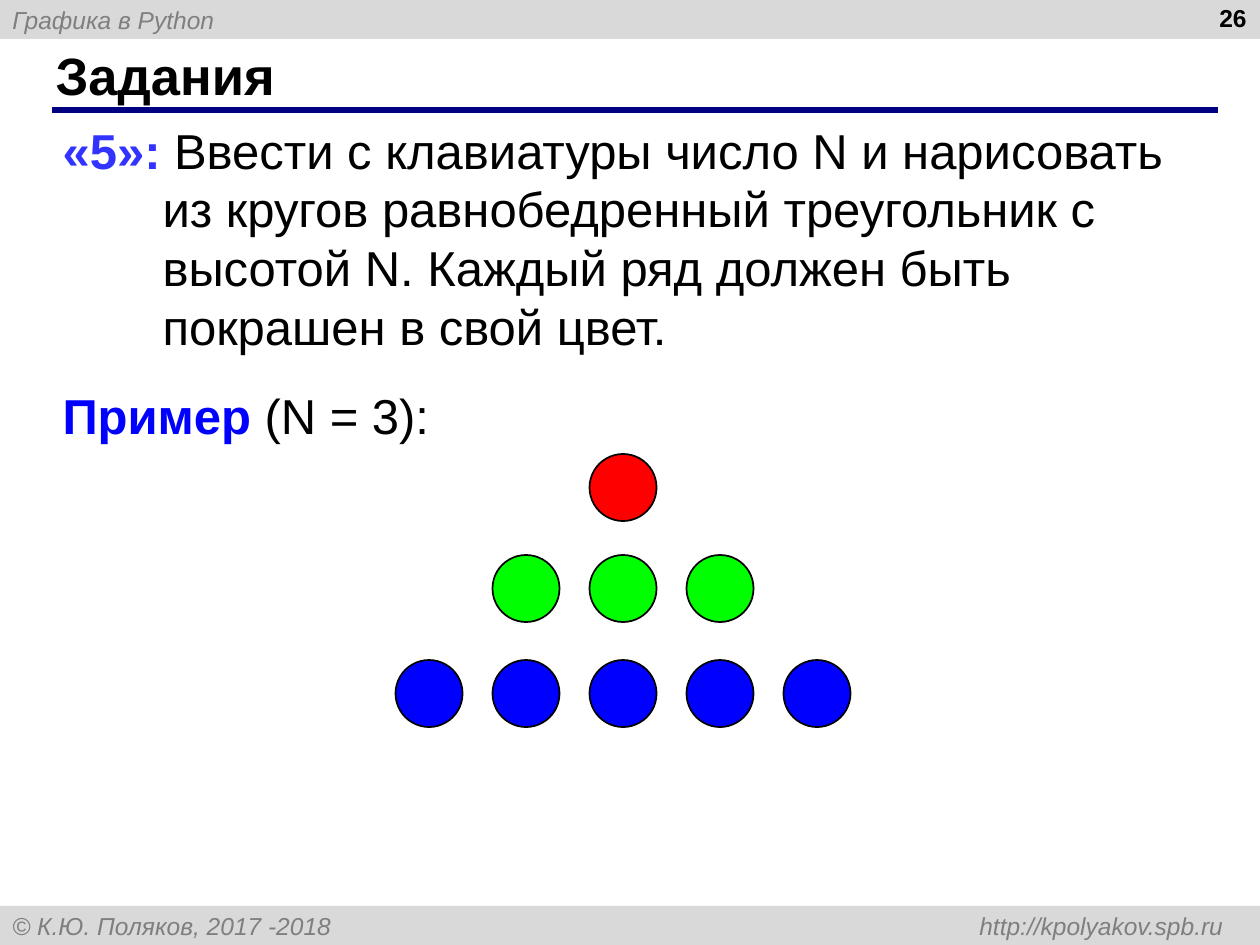
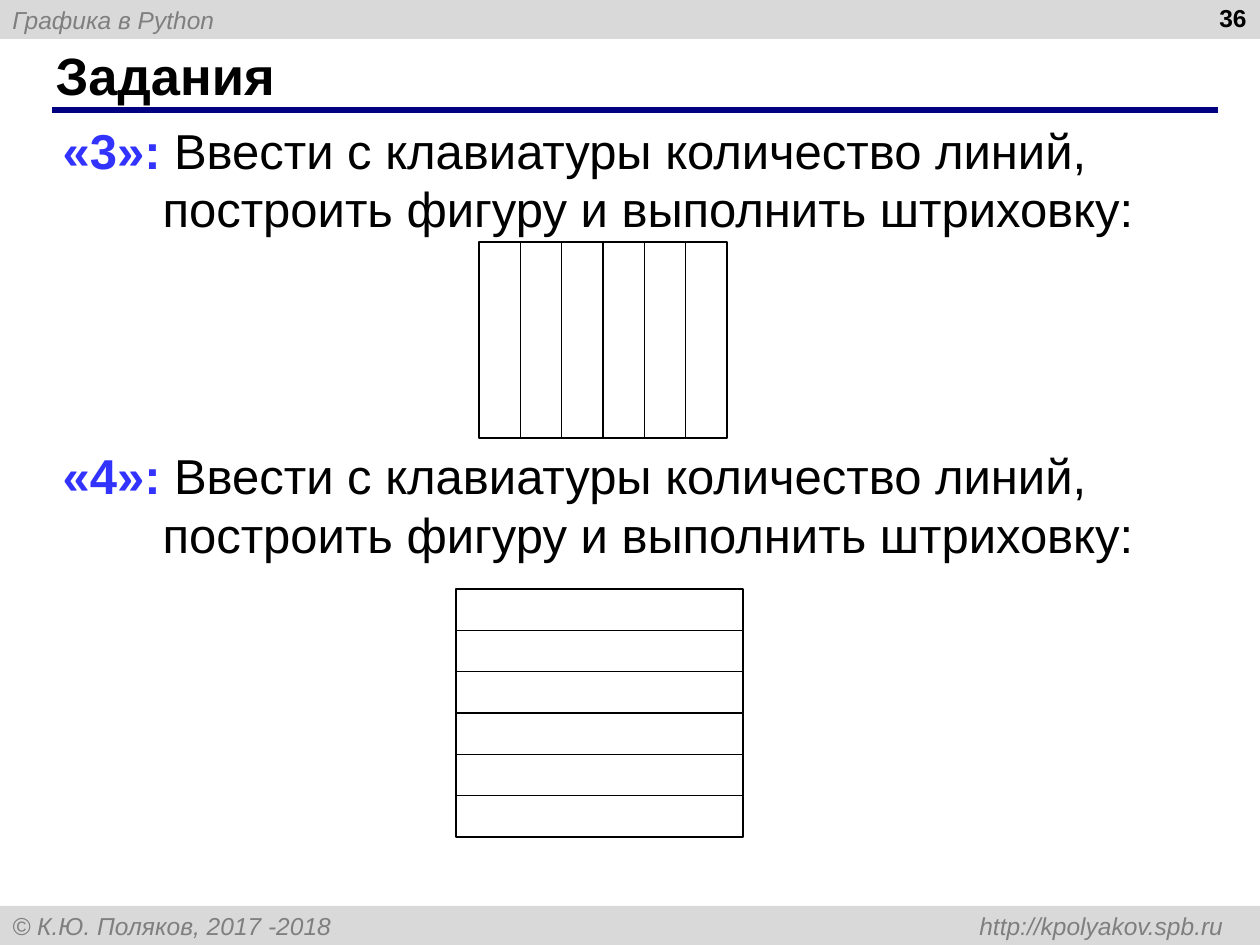
from dataclasses import dataclass

from lxml.etree import SubElement
from pptx import Presentation
from pptx.dml.color import RGBColor
from pptx.enum.shapes import MSO_CONNECTOR as Connector, MSO_SHAPE as Preset
from pptx.enum.text import MSO_ANCHOR as Anchor, MSO_AUTO_SIZE as AutoSize, PP_ALIGN as Align
from pptx.oxml.ns import qn
from pptx.util import Emu, Pt

SLIDE_WIDTH, SLIDE_HEIGHT = 1260, 945
BAND_HEIGHT = 39


@dataclass(frozen=True)
class Theme:
    font: str = "Arial"
    black: str = "000000"
    band: str = "D9D9D9"
    band_text: str = "7F7F7F"
    rule: str = "000080"
    grade: str = "3333FF"
    blue: str = "0000FF"
    red: str = "FF0000"
    green: str = "00FF00"
    title_size: int = 30
    body_size: int = 28
    small_size: int = 14
    body_leading: float = 33.5


THEME = Theme()


# Units and formatting
def px(length):
    return Emu(round(length * 914400 / 126))


def colour(code):
    return RGBColor.from_string(code)


def set_format(target, values):
    for name, value in values.items():
        setattr(target, name, value)


def place(shape, left, top, width, height):
    set_format(shape, {"left": px(left), "top": px(top),
                       "width": px(width), "height": px(height)})


def add_span(para, text, size, code=THEME.black, bold=False, italic=False):
    span = para.add_run()
    span.text = text
    set_format(span.font, {"name": THEME.font, "size": Pt(size),
                           "bold": bold, "italic": italic})
    span.font.color.rgb = colour(code)


# Basic elements
def add_preset(shapes, preset, area, fill=None, line=None, weight=1):
    shape = shapes.add_shape(preset, *map(px, area))
    shape.shadow.inherit = False
    if fill:
        shape.fill.solid()
        shape.fill.fore_color.rgb = colour(fill)
    else:
        shape.fill.background()
    if line:
        shape.line.color.rgb = colour(line)
        shape.line.width = Pt(weight)
    else:
        shape.line.fill.background()
    return shape


def add_line(shapes, start, end, code, weight):
    line = shapes.add_connector(Connector.STRAIGHT, *map(px, (*start, *end)))
    line.line.color.rgb = colour(code)
    line.line.width = Pt(weight)
    SubElement(line._element.spPr, qn("a:effectLst"))


# Parts shared by the slides
def add_band(page, top, text, right_tab=None):
    band = add_preset(page.shapes, Preset.RECTANGLE,
                      (0, top, SLIDE_WIDTH, BAND_HEIGHT), THEME.band)
    band.text_frame.vertical_anchor = Anchor.MIDDLE
    para = band.text_frame.paragraphs[0]
    para.alignment = Align.LEFT
    if right_tab:
        tabs = SubElement(para._p.get_or_add_pPr(), qn("a:tabLst"))
        SubElement(tabs, qn("a:tab"), pos=str(px(right_tab)), algn="r")
    add_span(para, text, THEME.small_size, THEME.band_text, italic=True)


def add_number(page, number):
    box = page.shapes.add_textbox(*map(px, (965, -3, 294, 66)))
    box.text_frame.word_wrap = True
    para = box.text_frame.paragraphs[0]
    para.alignment = Align.RIGHT
    add_span(para, str(number), THEME.small_size, bold=True)


def set_title(page, text):
    title = page.shapes.title
    place(title, 43, 42, 1154, 66)
    set_format(title.text_frame, {"vertical_anchor": Anchor.MIDDLE,
                                  "auto_size": AutoSize.NONE, "word_wrap": True})
    para = title.text_frame.paragraphs[0]
    para.alignment = Align.LEFT
    add_span(para, text, THEME.title_size, bold=True)


def add_page(deck, number):
    page = deck.slides.add_slide(deck.slide_layouts[1])
    add_band(page, 0, "Графика в Python")
    add_band(page, SLIDE_HEIGHT - BAND_HEIGHT,
             "© К.Ю. Поляков, 2017 -2018\thttp://kpolyakov.spb.ru", right_tab=1211)
    add_line(page.shapes, (52, 110), (1218, 110), THEME.rule, 3)
    set_title(page, "Задания")
    add_number(page, number)
    return page


# Task list: each item is label, label colour, text, space before
def fill_tasks(page, items, height):
    body = page.placeholders[1]
    place(body, 50, 114, 1160, height)
    frame = body.text_frame
    set_format(frame, {"vertical_anchor": Anchor.TOP,
                       "auto_size": AutoSize.NONE, "word_wrap": True})
    for index, (label, code, text, before) in enumerate(items):
        para = frame.add_paragraph() if index else frame.paragraphs[0]
        props = para._p.get_or_add_pPr()
        set_hanging = {"marL": px(100), "indent": -px(100)}
        for name, value in set_hanging.items():
            props.set(name, str(int(value)))
        SubElement(props, qn("a:buNone"))
        set_format(para, {"alignment": Align.LEFT, "space_before": Pt(before),
                          "line_spacing": Pt(THEME.body_leading)})
        add_span(para, label, THEME.body_size, code, bold=True)
        add_span(para, text, THEME.body_size)


# Figures
def add_circle_triangle(page, centre, rows, diameter=67, pitch=97):
    for row, (top, fill) in enumerate(rows):
        for step in range(-row, row + 1):
            left = centre + step * pitch - diameter / 2
            add_preset(page.shapes, Preset.OVAL,
                       (left, top, diameter, diameter), fill, THEME.black)


def add_hatching(page, left, top, width, height, vertical, strips=6):
    figure = page.shapes.add_group_shape().shapes
    add_preset(figure, Preset.RECTANGLE, (left, top, width, height),
               line=THEME.black, weight=0.75)
    for step in range(1, strips):
        if vertical:
            x = left + width * step / strips
            start, end = (x, top), (x, top + height)
        else:
            y = top + height * step / strips
            start, end = (left, y), (left + width, y)
        add_line(figure, start, end, THEME.black, 0.75)


def main():
    deck = Presentation()
    set_format(deck, {"slide_width": px(SLIDE_WIDTH), "slide_height": px(SLIDE_HEIGHT)})

    # Triangle of circles
    page = add_page(deck, 26)
    fill_tasks(page, [
        ("«5»: ", THEME.grade,
         "Ввести с клавиатуры число N и нарисовать из кругов равнобедренный "
         "треугольник с высотой N. Каждый ряд должен быть покрашен в свой цвет.", 0),
        ("Пример", THEME.blue, " (N = 3):", 17.5),
    ], height=580)
    add_circle_triangle(page, 623, [(454, THEME.red), (555, THEME.green),
                                    (660, THEME.blue)])

    # Hatched rectangles
    page = add_page(deck, 36)
    hatching = ("Ввести с клавиатуры количество линий, "
                "построить фигуру и выполнить штриховку:")
    fill_tasks(page, [("«3»: ", THEME.grade, hatching, 0),
                      ("«4»: ", THEME.grade, hatching, 119)], height=518)
    add_hatching(page, 479, 242, 248, 196, vertical=True)
    add_hatching(page, 456, 589, 287, 248, vertical=False)

    deck.save("out.pptx")


if __name__ == "__main__":
    main()
